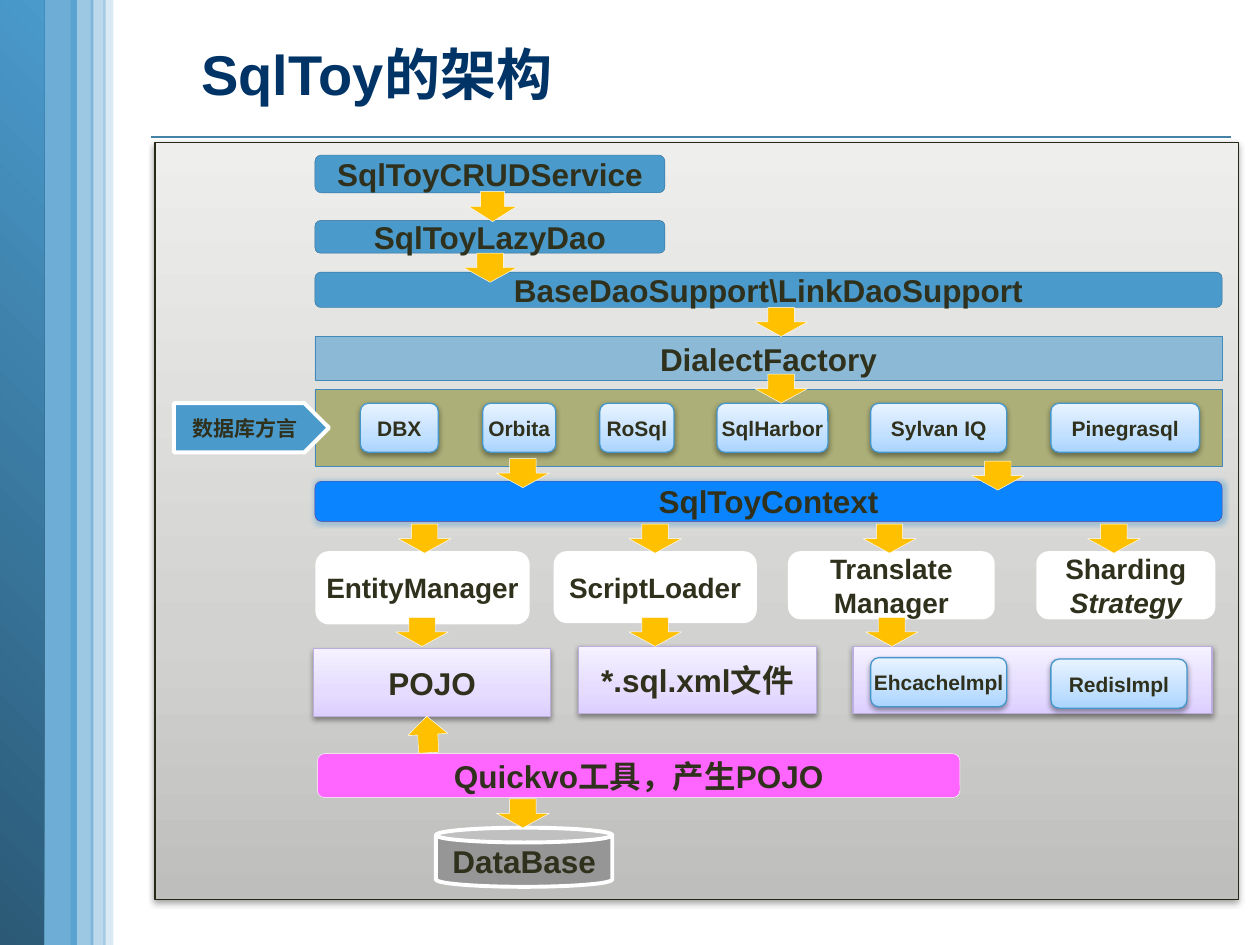
"""Build the SqlToy architecture slide."""
from copy import deepcopy

from lxml.etree import SubElement
from pptx import Presentation
from pptx.dml.color import RGBColor
from pptx.enum.shapes import MSO_CONNECTOR, MSO_SHAPE as SHAPE
from pptx.enum.text import MSO_ANCHOR as ANCHOR, PP_ALIGN as ALIGN
from pptx.oxml.ns import qn
from pptx.util import Pt


class Theme:
    font = "Arial"
    text, title, rule, blue = "30311D", "003366", "4582A7", "4A9ACC"
    title_size, large, medium, small = 32, 18, 16, 12
    # Each style is fill, line colour, line width.
    layer = (blue, "377297", 0.25)
    dialect = ("8CBAD6", "428BB9", 0.25)
    database_row = ("ACAF77", "428BB9", 0.25)
    context = ("0A85FF", "5D3D97", 0.25)
    manager = ("FFFFFF", "FFFFFF", 2.25)
    tool = ("FF66FF", "FFFFFF", 0.25)
    arrow = ("FFC000", "FFFFFF", 0.25)
    store = ("969696", "FFFFFF", 2.25)
    tag = (blue, "FFFFFF", 2.25)
    stripe = (blue, None, 0)
    edge = (("2B5976", blue), None, 0)
    panel = (("BEBFBC", "D2D2D0", "EEEEED"), "272816", 0.75)
    output = (("DCCFFF", "E5DCFF", "F5F1FF"), "BBAEDE", 0.75)
    chip = (("AAD4FF", "C2E0FF", "E8F3FF"), "4597CB", 0.75)


def write(sp, text, size, color=Theme.text, align=ALIGN.CENTER):
    tf = sp.text_frame
    tf.text = text
    tf.vertical_anchor = ANCHOR.MIDDLE
    tf.word_wrap = False
    for p in tf.paragraphs:
        p.alignment = align
        for r in p.runs:
            r.font.name, r.font.size, r.font.bold = Theme.font, Pt(size), True
            r.font.color.rgb = RGBColor.from_string(color)


def add(kind, x, y, w, h, style, text="", size=Theme.large):
    fill, line, width = style
    sp = s.shapes.add_shape(kind, Pt(x), Pt(y), Pt(w), Pt(h))
    sp.shadow.inherit = False
    if isinstance(fill, str):
        sp.fill.solid()
        sp.fill.fore_color.rgb = RGBColor.from_string(fill)
    else:
        sp.fill.gradient()
        sp.fill.gradient_angle = 90 if len(fill) == 3 else 45
        if len(fill) == 3:
            stops = sp._element.spPr.find(".//" + qn("a:gsLst"))
            stops.insert(1, deepcopy(stops[0]))
            effects = sp._element.spPr.find(qn("a:effectLst"))
            shadow = SubElement(effects, qn("a:outerShdw"), blurRad="40000",
                                dist="20000", dir="5400000", rotWithShape="0")
            black = SubElement(shadow, qn("a:srgbClr"), val="000000")
            SubElement(black, qn("a:alpha"), val="38000")
        positions = (0, 0.35, 1) if len(fill) == 3 else (0, 1)
        for stop, color, position in zip(sp.fill.gradient_stops, fill, positions):
            stop.color.rgb = RGBColor.from_string(color)
            stop.position = position
    if line:
        sp.line.color.rgb = RGBColor.from_string(line)
        sp.line.width = Pt(width)
    else:
        sp.line.fill.background()
    if text:
        write(sp, text, size)
    return sp


prs = Presentation()
prs.slide_width, prs.slide_height = Pt(720), Pt(540)
s = prs.slides.add_slide(prs.slide_layouts[6])

rule = s.shapes.add_connector(MSO_CONNECTOR.STRAIGHT, Pt(86.4), Pt(78.5), Pt(703.4), Pt(78.5))
rule.line.color.rgb = RGBColor.from_string(Theme.rule)
rule.line.width = Pt(1)
SubElement(rule._element.spPr, qn("a:effectLst"))

stripes = [(21.6, 22.3, 80), (59, 5.8, 20), (40.3, 13, 54), (51.8, 8.6, 37)]
for i, (x, w, opacity) in enumerate(stripes):
    sp = add(SHAPE.RECTANGLE, x, 0, w, 540, Theme.stripe)
    color = sp._element.spPr.find(".//" + qn("a:srgbClr"))
    SubElement(color, qn("a:alpha"), val=str(opacity * 1000))
    if i == 0:
        add(SHAPE.RECTANGLE, -0.7, 0, 25.9, 540, Theme.edge)

add(SHAPE.RECTANGLE, 88.6, 81.4, 619.2, 432.7, Theme.panel)
title = s.shapes.add_textbox(Pt(108), Pt(9.4), Pt(626.4), Pt(64.8))
write(title, "SqlToy的架构", Theme.title_size, Theme.title, ALIGN.LEFT)
title.text_frame.word_wrap = True

add(SHAPE.RECTANGLE, 180, 192.2, 518.4, 25.2, Theme.dialect, "DialectFactory")
for y, w, h, text in [
    (88.6, 200, 21.6, "SqlToyCRUDService"),
    (126, 200, 18.7, "SqlToyLazyDao"),
    (155.5, 518.4, 20.2, "BaseDaoSupport\\LinkDaoSupport"),
]:
    add(SHAPE.ROUNDED_RECTANGLE, 180, y, w, h, Theme.layer, text)

context = add(SHAPE.ROUNDED_RECTANGLE, 180, 275, 518.4, 23, Theme.context, "SqlToyContext")
glow = SubElement(context._element.spPr.find(qn("a:effectLst")), qn("a:glow"), rad="50800")
color = SubElement(glow, qn("a:srgbClr"), val=Theme.blue)
SubElement(color, qn("a:alpha"), val="40000")

for x, w, h, text in [
    (181.4, 120.2, 39.6, "EntityManager"),
    (317.5, 113.8, 38.9, "ScriptLoader"),
    (451.4, 115.9, 36.7, "Translate\nManager"),
    (593.3, 100.1, 36.7, "Sharding\nStrategy"),
]:
    sp = add(SHAPE.ROUNDED_RECTANGLE, x, 316.1, w, h, Theme.manager, text, Theme.medium)
sp.text_frame.paragraphs[1].runs[0].font.italic = True

for x, y, w, text in [
    (179.3, 370.8, 135.4, "POJO"),
    (330.5, 369.4, 136.1, "*.sql.xml文件"),
    (487.4, 369.4, 205.2, ""),
]:
    add(SHAPE.RECTANGLE, x, y, w, 38.5, Theme.output, text)

add(SHAPE.RECTANGLE, 180, 222.5, 518.4, 43.9, Theme.database_row)
for x, y, w, text in [
    (205.9, 230.4, 44.6, "DBX"),
    (275.8, 230.4, 41.8, "Orbita"),
    (342.7, 230.4, 42.5, "RoSql"),
    (409.7, 230.4, 63.4, "SqlHarbor"),
    (497.5, 230.4, 77.8, "Sylvan IQ"),
    (600.5, 230.4, 85, "Pinegrasql"),
    (497.5, 375.8, 77.8, "EhcacheImpl"),
    (600.5, 376.6, 77.8, "RedisImpl"),
]:
    add(SHAPE.ROUNDED_RECTANGLE, x, y, w, 28.1, Theme.chip, text, Theme.small)

add(SHAPE.ROUNDED_RECTANGLE, 181.4, 430.6, 367.2, 25.2, Theme.tool, "Quickvo工具，产生POJO")
add(SHAPE.CAN, 249.1, 473, 100.8, 33.8, Theme.store, "DataBase")
add(SHAPE.PENTAGON, 99.4, 230.4, 88.6, 28.1, Theme.tag, "数据库方言", Theme.small)

add(SHAPE.DOWN_ARROW, 267.8, 109.4, 27.4, 17.3, Theme.arrow)
for y, lefts in [
    (144.7, [265]),
    (175.7, [431.3]),
    (213.8, [431.3]),
    (262.1, [283.7]),
    (263.5, [555.1]),
    (299.5, [227.5, 359.3, 493.2, 621.4]),
    (352.8, [226.1, 359.3, 494.6]),
    (456.5, [283.7]),
]:
    for x in lefts:
        add(SHAPE.DOWN_ARROW, x, y, 30.2, 16.6, Theme.arrow)
add(SHAPE.RIGHT_ARROW, 234, 408.2, 20.9, 23, Theme.arrow).rotation = 267

prs.save("out.pptx")
